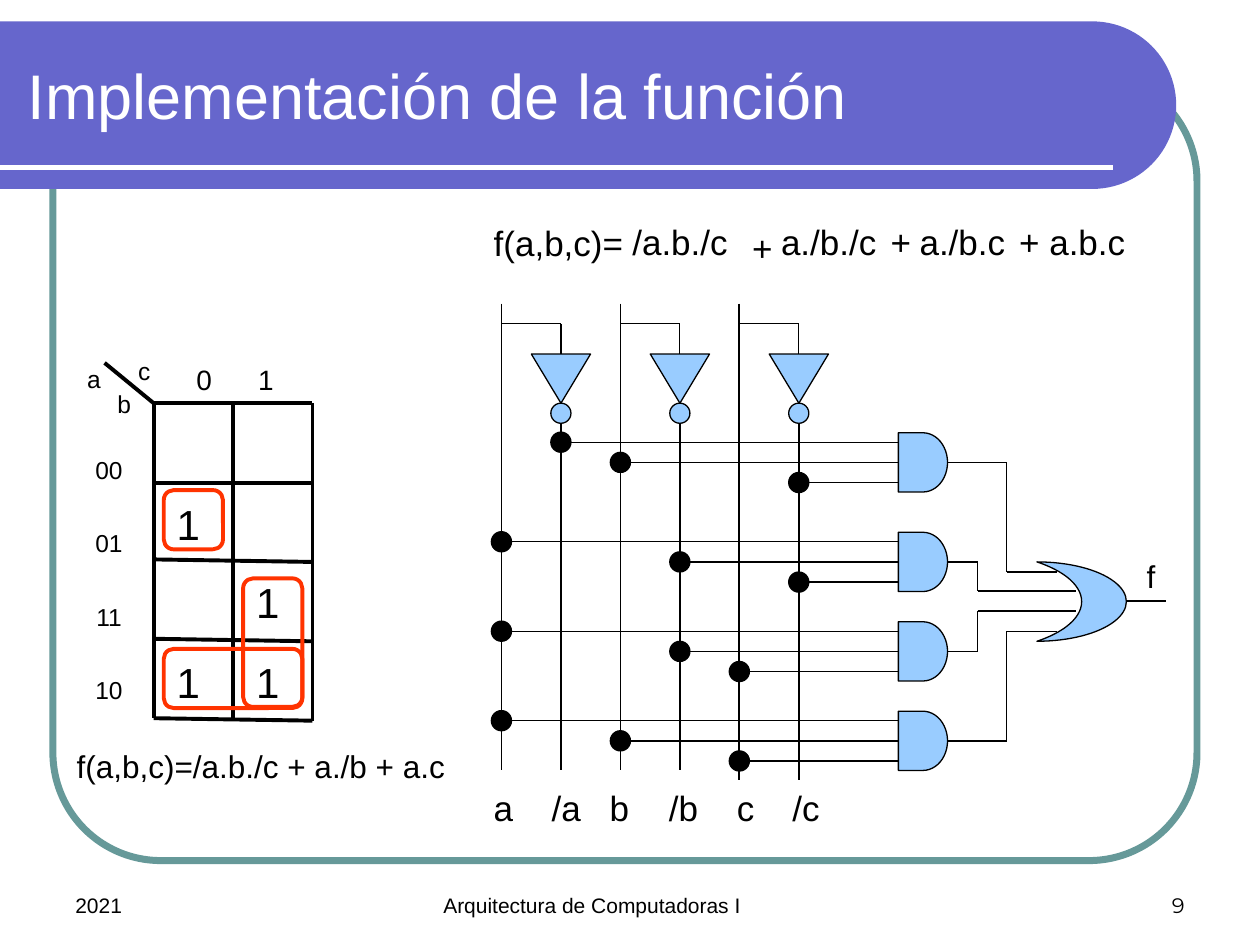
import math
from dataclasses import dataclass

from lxml import etree
from pptx import Presentation
from pptx.dml.color import RGBColor
from pptx.enum import shapes, text
from pptx.oxml import ns
from pptx.util import Inches, Pt

KIND = shapes.MSO_SHAPE
ALIGN = text.PP_ALIGN
ANCHOR = text.MSO_ANCHOR


@dataclass(frozen=True)
class Theme:
    font: str = "Arial"
    number_font: str = "Montserrat"
    band: str = "6666CC"
    frame: str = "669999"
    gate: str = "99CCFF"
    loop: str = "FF3300"
    ink: str = "000000"
    paper: str = "FFFFFF"
    title: int = 36
    cell: int = 24
    formula: int = 20
    body: int = 18
    header: int = 16
    label: int = 14
    footer: int = 12
    thin: float = 0.75
    rail: float = 1
    grid: float = 2.25


THEME = Theme()

# Circuit geometry, in inches
RAIL_NAMES = ["a", "/a", "b", "/b", "c", "/c"]
RAIL_X = {name: 3.98 + i * 2.36 / 5 for i, name in enumerate(RAIL_NAMES)}
GATE_X, GATE_WIDTH, GATE_HEIGHT = 7.13, 0.39, 0.47
INPUT_GAP = 0.16
DOT = 0.16
# Each AND gate: centre y, inputs, elbow x, OR input y, OR input x
GATES = [
    (3.67, ("/a", "b", "/c"), 7.99, 4.54, 8.39),
    (4.46, ("a", "/b", "/c"), 7.76, 4.69, 8.54),
    (5.17, ("a", "/b", "c"), 7.76, 4.85, 8.54),
    (5.88, ("a", "b", "c"), 7.99, 5.01, 8.39),
]


def color(value):
    return RGBColor.from_string(value)


def apply(target, values):
    for name, value in values.items():
        setattr(target, name, value)


def style(shape, fill=None, line=None, width=THEME.thin):
    shape.shadow.inherit = False
    if fill:
        shape.fill.solid()
        shape.fill.fore_color.rgb = color(fill)
    else:
        shape.fill.background()
    if line:
        shape.line.color.rgb = color(line)
        shape.line.width = Pt(width)
    else:
        shape.line.fill.background()
    return shape


def add_box(page, kind, at, **look):
    return style(page.shapes.add_shape(kind, *map(Inches, at)), **look)


def add_dot(page, x, y, fill):
    add_box(page, KIND.OVAL, (x - DOT / 2, y - DOT / 2, DOT, DOT),
            fill=fill, line=THEME.ink)


def add_path(page, *points, width=THEME.thin, ink=THEME.ink):
    """Draw straight connectors through the points in turn."""
    for start, end in zip(points, points[1:]):
        line = page.shapes.add_connector(
            shapes.MSO_CONNECTOR.STRAIGHT, *map(Inches, start + end))
        line.line.color.rgb = color(ink)
        line.line.width = Pt(width)
        etree.SubElement(line.element.spPr, ns.qn("a:effectLst"))


def write(shape, lines, size, font=THEME.font, ink=THEME.ink,
          align=ALIGN.LEFT, anchor=ANCHOR.TOP, spacing=None, tabs=()):
    frame = shape.text_frame
    apply(frame, {"word_wrap": True, "vertical_anchor": anchor})
    for i, words in enumerate(lines):
        para = frame.add_paragraph() if i else frame.paragraphs[0]
        apply(para, {"alignment": align, "line_spacing": spacing})
        span = para.add_run()
        span.text = words
        apply(span.font, {"name": font, "size": Pt(size)})
        span.font.color.rgb = color(ink)
        if tabs:
            stops = etree.SubElement(para._p.get_or_add_pPr(), ns.qn("a:tabLst"))
            for stop in tabs:
                etree.SubElement(stops, ns.qn("a:tab"),
                                 pos=str(Inches(stop)), algn="l")


def add_text(page, at, words, size, **look):
    box = page.shapes.add_textbox(*map(Inches, at))
    write(box, words.split("\n"), size, **look)


def draw_banner(page, title):
    frame = add_box(page, KIND.ROUNDED_RECTANGLE, (0.42, 0.58, 9.08, 6.25),
                    line=THEME.frame, width=4)
    frame.adjustments[0] = 0.137

    # Band with a half-round right end
    top, bottom, center_x = 0.17, 1.5, 8.67
    radius = (bottom - top) / 2
    steps = 48
    angles = [math.pi * (i / steps - 0.5) for i in range(steps + 1)]
    arc = [(Inches(center_x + radius * math.cos(angle)),
            Inches(top + radius + radius * math.sin(angle))) for angle in angles]
    outline = page.shapes.build_freeform(0, Inches(top))
    outline.add_line_segments(arc + [(0, Inches(bottom))], close=True)
    style(outline.convert_to_shape(), fill=THEME.band)
    add_path(page, (0, 1.33), (8.83, 1.33), width=3, ink=THEME.paper)

    # Title placeholder goes in front of the band
    heading = page.shapes.title
    apply(heading, dict(zip(("left", "top", "width", "height"),
                            map(Inches, (0.12, 0.25, 6.93, 1)))))
    write(heading, [title], THEME.title, ink=THEME.paper, anchor=ANCHOR.MIDDLE)
    heading.element.getparent().append(heading.element)


def draw_footer(page):
    for left, width, words, look in [
        (0.5, 2.33, "2021", {}),
        (3.42, 3.17, "Arquitectura de Computadoras I", {}),
        (7.17, 2.33, "9", {"font": THEME.number_font, "align": ALIGN.RIGHT}),
    ]:
        add_text(page, (left, 6.83, width, 0.5), words, THEME.footer,
                 anchor=ANCHOR.BOTTOM, **look)


def draw_karnaugh_map(page):
    # Grid; the lower rules slope slightly
    left, middle, right, top = 1.22, 1.85, 2.48, 3.2
    for x, bottom in [(left, 5.7), (middle, 5.72), (right, 5.72)]:
        add_path(page, (x, top), (x, bottom), width=THEME.grid)
    for y, rise in [(top, 0), (3.83, 0), (4.44, 0.02), (5.07, 0.02), (5.7, 0.02)]:
        add_path(page, (right, y + rise), (left, y), width=THEME.grid)
    add_path(page, (0.83, 2.88), (left, top), width=THEME.grid)

    # Variables and headers
    for x, y, name in [(0.91, 2.78, "c"), (0.51, 2.84, "a"), (0.75, 3.04, "b")]:
        add_text(page, (x, y, 0.47, 0.34), name, THEME.label, align=ALIGN.CENTER)
    add_text(page, (0.59, 3.21, 0.55, 2.35), "00\n01\n11\n10", THEME.label,
             align=ALIGN.CENTER, spacing=2.5)
    add_text(page, (1.46, 2.83, 0.94, 0.37), "0\t1", THEME.header, tabs=[0.49])

    # Ones and the loops around them
    for x, y in [(left, 3.91), (left, 5.16), (middle, 5.16), (middle, 4.53)]:
        add_text(page, (x, y, 0.55, 0.5), "1", THEME.cell, align=ALIGN.CENTER)
    for at in [(1.3, 5.15, 1.1, 0.47), (1.93, 4.59, 0.47, 1.02),
               (1.3, 3.89, 0.47, 0.47)]:
        add_box(page, KIND.ROUNDED_RECTANGLE, at, line=THEME.loop, width=THEME.grid)
    add_text(page, (0.51, 5.88, 3.15, 0.4), "f(a,b,c)=/a.b./c + a./b + a.c", THEME.body)


def draw_rails(page):
    """Draw each input rail with its inverted partner."""
    for name in "abc":
        x, inverted_x = RAIL_X[name], RAIL_X["/" + name]
        bottom = 6.19 if name == "c" else 6.11
        add_path(page, (x, 2.41), (x, bottom), width=THEME.rail)
        add_path(page, (x, 2.57), (inverted_x, 2.57), (inverted_x, 2.81))
        add_path(page, (inverted_x, 3.36), (inverted_x, bottom), width=THEME.rail)
        inverter = add_box(page, KIND.FLOWCHART_EXTRACT,
                           (inverted_x - 0.235, 2.81, 0.47, 0.39),
                           fill=THEME.gate, line=THEME.ink)
        inverter.rotation = 180
        add_dot(page, inverted_x, 3.28, THEME.gate)
    add_text(page, (3.82, 6.19, 2.83, 0.44), "\t".join(RAIL_NAMES), THEME.formula,
             tabs=[0.46, 0.92, 1.39, 1.93, 2.37])


def draw_gates(page):
    for y, inputs, elbow_x, or_y, or_x in GATES:
        for i, name in enumerate(inputs):
            input_y = y + (i - 1) * INPUT_GAP
            add_path(page, (RAIL_X[name], input_y), (GATE_X, input_y))
            add_dot(page, RAIL_X[name], input_y, THEME.ink)
        add_box(page, KIND.FLOWCHART_DELAY,
                (GATE_X, y - GATE_HEIGHT / 2, GATE_WIDTH, GATE_HEIGHT),
                fill=THEME.gate, line=THEME.ink)
        add_path(page, (GATE_X + GATE_WIDTH, y), (elbow_x, y),
                 (elbow_x, or_y), (or_x, or_y))

    # OR gate and output
    or_gate = add_box(page, KIND.MOON, (8.23, 4.46, 0.71, 0.63),
                      fill=THEME.gate, line=THEME.ink)
    or_gate.element.spPr.find(ns.qn("a:xfrm")).set("flipH", "1")
    add_path(page, (8.94, 4.77), (9.25, 4.77))
    add_text(page, (8.94, 4.37, 0.39, 0.4), "f", THEME.body, align=ALIGN.CENTER)


def draw_formula(page):
    for x, y, width, words in [
        (3.82, 1.71, 1.5, "f(a,b,c)="), (4.92, 1.7, 1.02, "/a.b./c"),
        (5.87, 1.75, 0.39, "+"), (6.1, 1.7, 1.02, "a./b./c"),
        (6.97, 1.7, 0.39, "+"), (7.2, 1.7, 0.94, "a./b.c"),
        (7.99, 1.7, 0.39, "+"), (8.23, 1.7, 0.87, "a.b.c"),
    ]:
        add_text(page, (x, y, width, 0.44), words, THEME.formula)


def main():
    deck = Presentation()
    apply(deck, {"slide_width": Inches(10), "slide_height": Inches(7.5)})
    page = deck.slides.add_slide(deck.slide_layouts.get_by_name("Title Only"))
    draw_banner(page, "Implementación de la función")
    draw_footer(page)
    draw_karnaugh_map(page)
    draw_rails(page)
    draw_gates(page)
    draw_formula(page)
    deck.save("out.pptx")


main()
